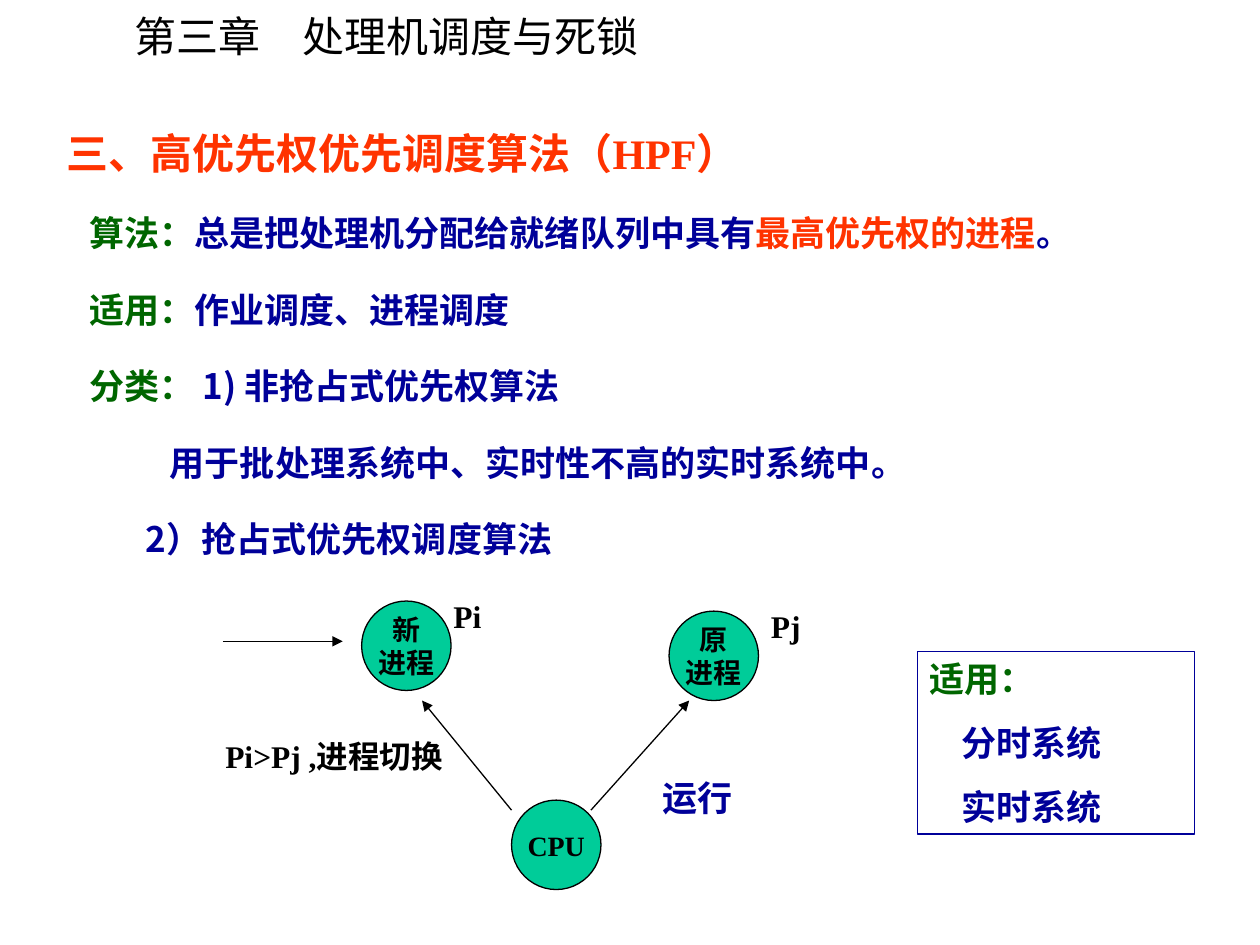
from lxml.etree import SubElement
from pptx import Presentation
from pptx.dml.color import RGBColor
from pptx.enum.shapes import MSO_CONNECTOR, MSO_SHAPE as SHAPE
from pptx.enum.text import MSO_ANCHOR as ANCHOR, PP_ALIGN as ALIGN
from pptx.oxml.ns import qn
from pptx.util import Inches, Pt

BLACK = RGBColor(0x00, 0x00, 0x00)
BLUE = RGBColor(0x00, 0x00, 0x99)
GREEN = RGBColor(0x00, 0x66, 0x00)
RED = RGBColor(0xFF, 0x33, 0x00)
TEAL = RGBColor(0x00, 0xCC, 0x99)
SANS = "Noto Sans CJK SC"
SERIF = "Times New Roman"


def style(p, size, font=SERIF, bold=True, color=None):
    """Set the font that all runs of a paragraph share."""
    p.font.size, p.font.name, p.font.bold = Pt(size), font, bold
    if color is not None:
        p.font.color.rgb = color
    SubElement(p._p.pPr.find(qn("a:defRPr")), qn("a:ea")).set("typeface", SANS)


def write(p, runs, indent=0):
    """Fill a paragraph with (text, colour) runs at a left indent."""
    if indent:
        p._p.get_or_add_pPr().set("marL", str(Inches(indent)))
    for text, color in runs:
        r = p.add_run()
        r.text = text
        r.font.color.rgb = color


def paragraphs(tf, count):
    """Return the given number of paragraphs of a new text frame."""
    return [tf.paragraphs[0]] + [tf.add_paragraph() for _ in range(count - 1)]


def add_text(slide, box, text, size, color=BLACK):
    """Add a wrapped one-line label."""
    tf = slide.shapes.add_textbox(*map(Inches, box)).text_frame
    tf.word_wrap = True
    p = tf.paragraphs[0]
    p.text = text
    style(p, size, color=color)


def add_title(slide, box):
    """Place the chapter title in the title placeholder."""
    sp = slide.shapes.title
    sp.left, sp.top, sp.width, sp.height = map(Inches, box)
    tf = sp.text_frame
    tf.word_wrap = False
    tf.vertical_anchor = ANCHOR.TOP
    p = tf.paragraphs[0]
    p.text = "第三章　处理机调度与死锁"
    p.alignment = ALIGN.LEFT
    style(p, 24, SANS, False, BLACK)


def add_body(slide, box):
    """Add the heading and the description of the algorithm."""
    lines = [
        (0, [("三、高优先权优先调度算法", RED), ("（HPF）", RED)]),
        (0.18, [("算法：", GREEN), ("总是把处理机分配给就绪队列中具有", BLUE),
                ("最高优先权的进程", RED), ("。", BLUE)]),
        (0.18, [("适用：", GREEN), ("作业调度、进程调度", BLUE)]),
        (0.18, [("分类： ", GREEN), ("1) 非抢占式优先权算法", BLUE)]),
        (0.82, [("用于批处理系统中、实时性不高的实时系统中。", BLUE)]),
        (0.63, [("2）", BLUE), ("抢占式优先权调度算法", BLUE)]),
    ]
    tf = slide.shapes.add_textbox(*map(Inches, box)).text_frame
    tf.word_wrap = True
    for i, (p, (indent, runs)) in enumerate(zip(paragraphs(tf, len(lines)), lines)):
        write(p, runs, indent)
        p.alignment = ALIGN.JUSTIFY
        p.line_spacing = 1.3
        if i:
            p.space_before = Pt(12.5)
        style(p, 20 if i else 24, SANS)
    tf.paragraphs[0].runs[1].font.name = SERIF


def add_node(slide, left, top, size, lines):
    """Add a process circle with centred lines of text."""
    sp = slide.shapes.add_shape(SHAPE.OVAL, *map(Inches, (left, top, size, size)))
    sp.shadow.inherit = False
    sp.fill.solid()
    sp.fill.fore_color.rgb = TEAL
    sp.line.color.rgb = BLACK
    sp.line.width = Pt(0.75)
    tf = sp.text_frame
    tf.word_wrap = False
    tf.vertical_anchor = ANCHOR.MIDDLE
    for p, text in zip(paragraphs(tf, len(lines)), lines):
        write(p, [(text, BLACK)])
        p.alignment = ALIGN.CENTER
        style(p, 16)


def add_arrow(slide, *ends):
    """Add a thin straight arrow from one point to another."""
    line = slide.shapes.add_connector(MSO_CONNECTOR.STRAIGHT, *map(Inches, ends))
    line.line.color.rgb = BLACK
    line.line.width = Pt(0.75)
    SubElement(line.line._get_or_add_ln(), qn("a:tailEnd")).set("type", "triangle")
    SubElement(line._element.spPr, qn("a:effectLst"))


def add_diagram(slide, box):
    """Draw the switch of the CPU between the two processes."""
    x, y, width, height = box
    size = 0.71
    nodes = [(3.62, 0.16, ["原", "进程"]), (1.18, 0.08, ["新", "进程"]),
             (2.37, height - size, ["CPU"])]
    for dx, dy, lines in nodes:
        add_node(slide, x + dx, y + dy, size, lines)
    for x1, y1, x2, y2 in [(3, 1.74, 3.78, 0.87), (0.08, 0.4, 1.03, 0.4),
                           (2.37, 1.74, 1.66, 0.87)]:
        add_arrow(slide, x + x1, y + y1, x + x2, y + y2)
    add_text(slide, (x + 3.47, y + 1.42, 0.87, 0.44), "运行", 20, BLUE)
    add_text(slide, (x, y + 1.11, 2.04, 0.4), "Pi>Pj ,进程切换", 18)
    add_text(slide, (x + 1.81, y, 0.63, 0.4), "Pi", 18)
    add_text(slide, (x + width - 0.63, y + 0.08, 0.63, 0.4), "Pj", 18)


def add_uses(slide, box):
    """Add the framed list of suitable systems."""
    sp = slide.shapes.add_shape(SHAPE.RECTANGLE, *map(Inches, box))
    sp.shadow.inherit = False
    sp.fill.background()
    sp.line.color.rgb = BLUE
    sp.line.width = Pt(0.75)
    tf = sp.text_frame
    tf.word_wrap = True
    tf.vertical_anchor = ANCHOR.TOP
    lines = [("适用：", GREEN, 0), ("分时系统", BLUE, 0.25), ("实时系统", BLUE, 0.25)]
    for i, (p, (text, color, indent)) in enumerate(zip(paragraphs(tf, 3), lines)):
        write(p, [(text, color)], indent)
        p.alignment = ALIGN.LEFT
        if i:
            p.space_before = Pt(12.5)
        style(p, 20)


def main():
    """Build and save the slide."""
    prs = Presentation()
    prs.slide_width, prs.slide_height = Inches(10), Inches(7.5)
    s = prs.slides.add_slide(prs.slide_layouts[5])
    add_title(s, (0.97, 0.03, 4.27, 0.5))
    add_body(s, (0.43, 0.84, 9.08, 3.66))
    add_diagram(s, (1.69, 4.69, 4.96, 2.37))
    add_uses(s, (7.28, 5.17, 2.2, 1.45))
    prs.save("out.pptx")


if __name__ == "__main__":
    main()
